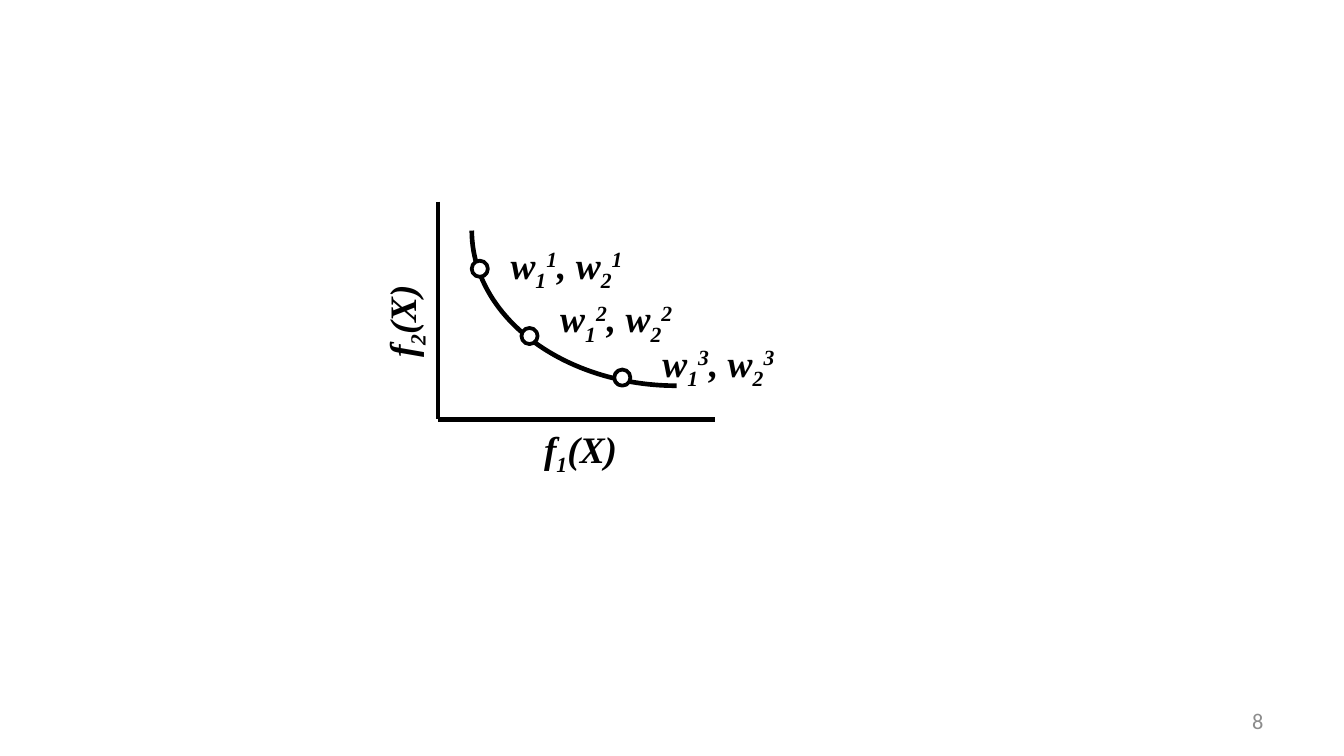
from dataclasses import dataclass

from lxml import etree
from pptx import Presentation
from pptx.dml.color import RGBColor
from pptx.enum.shapes import MSO_CONNECTOR, MSO_SHAPE
from pptx.enum.text import MSO_ANCHOR, MSO_AUTO_SIZE, PP_ALIGN
from pptx.oxml.ns import qn
from pptx.util import Inches, Pt

LINE = MSO_CONNECTOR.STRAIGHT
ARC = MSO_SHAPE.ARC
DOT = MSO_SHAPE.FLOWCHART_CONNECTOR
GROW = MSO_AUTO_SIZE.SHAPE_TO_FIT_TEXT
MIDDLE = MSO_ANCHOR.MIDDLE
RIGHT = PP_ALIGN.RIGHT
SUB, SUP = -25, 30


@dataclass(frozen=True)
class Theme:
    ink: RGBColor = RGBColor(0, 0, 0)
    paper: RGBColor = RGBColor(255, 255, 255)
    gray: RGBColor = RGBColor(0x8C, 0x8C, 0x8C)
    math: str = "Times New Roman"
    body: str = "Calibri"
    label: Pt = Pt(20)
    small: Pt = Pt(12)
    thick: Pt = Pt(2.5)
    ring: Pt = Pt(2)


THEME = Theme()


def add_axis(slide, start, end):
    axis = slide.shapes.add_connector(LINE, *map(Inches, start + end))
    axis.line.color.rgb = THEME.ink
    axis.line.width = THEME.thick
    etree.SubElement(axis._element.spPr, qn("a:effectLst"))


def add_outline(slide, kind, box, width):
    shape = slide.shapes.add_shape(kind, *map(Inches, box))
    shape.shadow.inherit = False
    shape.line.color.rgb = THEME.ink
    shape.line.width = width
    return shape


def add_curve(slide, box):
    curve = add_outline(slide, ARC, box, THEME.thick)
    curve.fill.background()
    curve.rotation = 180


def add_dot(slide, left, top):
    dot = add_outline(slide, DOT, (left, top, 0.12, 0.12), THEME.ring)
    dot.fill.solid()
    dot.fill.fore_color.rgb = THEME.paper


def add_label(slide, box, parts, turn=0):
    label = slide.shapes.add_textbox(*map(Inches, box))
    label.rotation = turn
    frame = label.text_frame
    frame.word_wrap = False
    frame.auto_size = GROW
    for text, shift in parts:
        run = frame.paragraphs[0].add_run()
        run.text = text
        font = run.font
        font.name = THEME.math
        font.size = THEME.label
        font.color.rgb = THEME.ink
        font.bold = font.italic = True
        if shift:
            font._element.set("baseline", str(shift * 1000))


def add_number(slide, box, text):
    frame = slide.shapes.add_textbox(*map(Inches, box)).text_frame
    frame.word_wrap = True
    frame.vertical_anchor = MIDDLE
    line = frame.paragraphs[0]
    line.text = text
    line.alignment = RIGHT
    font = line.runs[0].font
    font.name = THEME.body
    font.size = THEME.small
    font.color.rgb = THEME.gray


def goal(index):
    return [("f", 0), (index, SUB), ("(X)", 0)]


def weights(index):
    return [("w", 0), ("1", SUB), (index, SUP),
            (", w", 0), ("2", SUB), (index, SUP)]


def main():
    deck = Presentation()
    deck.slide_width = Inches(10)
    deck.slide_height = Inches(10) * 9 // 16
    slide = deck.slides.add_slide(deck.slide_layouts[6])

    corner = (3.26, 3.12)
    add_axis(slide, (3.26, 1.5), corner)
    add_axis(slide, corner, (5.32, 3.12))
    add_curve(slide, (3.51, 0.56, 3.05, 2.31))
    for left, top in ((4.57, 2.75), (3.88, 2.44), (3.51, 1.94)):
        add_dot(slide, left, top)

    add_label(slide, (3.95, 3.12, 0.76, 0.44), goal("1"))
    add_label(slide, (2.61, 2.16, 0.76, 0.44), goal("2"), 270)
    spots = ((3.7, 1.75), (4.07, 2.15), (4.83, 2.48))
    for index, (left, top) in enumerate(spots, 1):
        add_label(slide, (left, top, 1.09, 0.44), weights(str(index)))
    add_number(slide, (7.17, 5.21, 2.33, 0.3), "8")

    deck.save("out.pptx")


if __name__ == "__main__":
    main()
